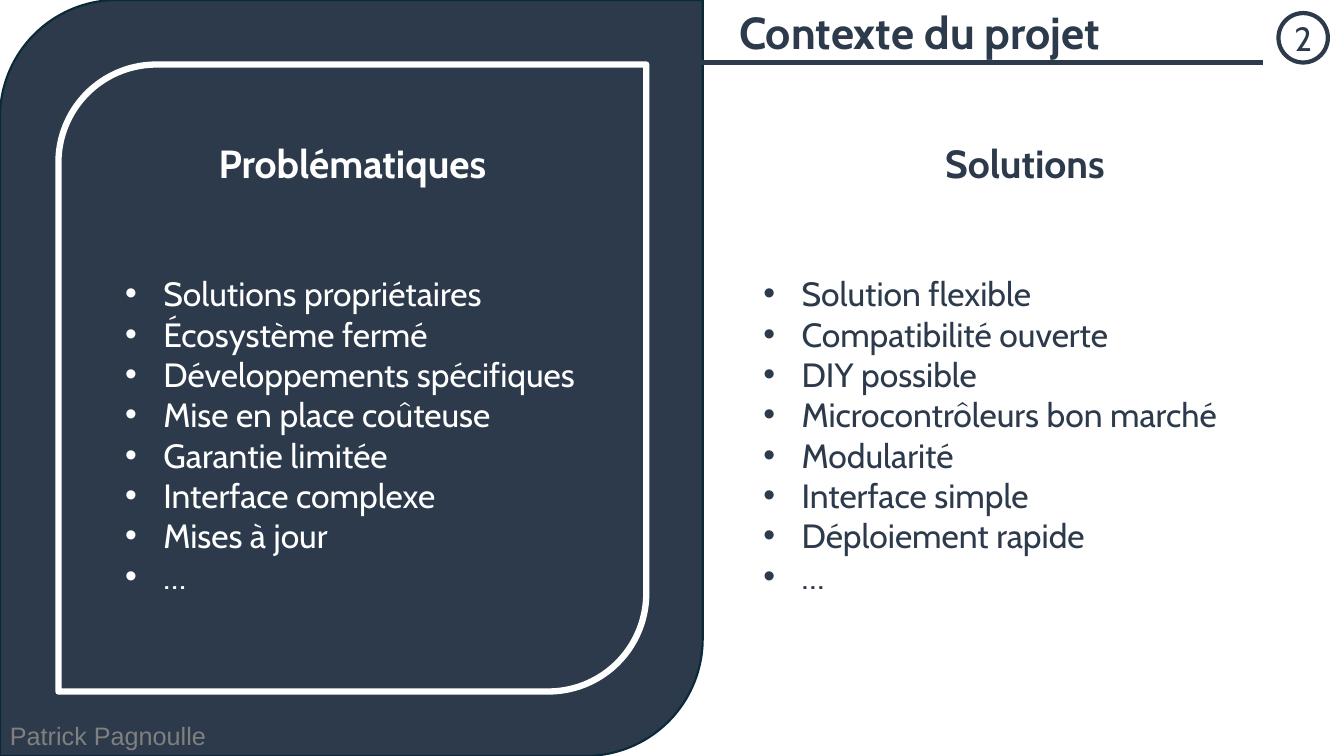
from lxml import etree
from pptx import Presentation
from pptx.dml.color import RGBColor
from pptx.enum.shapes import MSO_CONNECTOR, MSO_SHAPE
from pptx.enum.text import MSO_ANCHOR, MSO_AUTO_SIZE, PP_ALIGN
from pptx.oxml.ns import qn
from pptx.util import Inches, Pt

PANEL, CIRCLE = MSO_SHAPE.ROUND_2_DIAG_RECTANGLE, MSO_SHAPE.OVAL
STRAIGHT = MSO_CONNECTOR.STRAIGHT
TOP, MIDDLE = MSO_ANCHOR.TOP, MSO_ANCHOR.MIDDLE
LEFT, CENTER = PP_ALIGN.LEFT, PP_ALIGN.CENTER
NO_FIT = MSO_AUTO_SIZE.NONE
COMPARISON = 4

NAVY, WHITE, EDGE, GREY = "2C3A4B", "FFFFFF", "092A39", "808080"
FONT = "Cabin"

PROBLEMS = [
    "Solutions propriétaires", "Écosystème fermé", "Développements spécifiques",
    "Mise en place coûteuse", "Garantie limitée", "Interface complexe",
    "Mises à jour", "…",
]
SOLUTIONS = [
    "Solution flexible", "Compatibilité ouverte", "DIY possible",
    "Microcontrôleurs bon marché", "Modularité", "Interface simple",
    "Déploiement rapide", "…",
]


def rgb(color):
    return RGBColor.from_string(color)


def apply(target, values):
    for name, value in values.items():
        setattr(target, name, value)


class Deck:
    def __init__(self, width, height):
        self.prs = Presentation()
        apply(self.prs, {"slide_width": Inches(width), "slide_height": Inches(height)})
        self.s = self.prs.slides.add_slide(self.prs.slide_layouts[COMPARISON])

    def fill_text(self, sp, lines, size, color, bold=False, font=FONT, align=LEFT,
                  anchor=TOP, bullets=False, **frame):
        tf = sp.text_frame
        apply(tf, {"word_wrap": True, "auto_size": NO_FIT, "vertical_anchor": anchor, **frame})
        for i, line in enumerate(lines):
            p = tf.paragraphs[0] if i == 0 else tf.add_paragraph()
            r = p.add_run()
            r.text = line
            if bullets:
                self.bullet(p)
            apply(p, {"alignment": align, "space_before": Pt(0)})
            apply(r.font, {"name": font, "size": Pt(size), "bold": bold})
            r.font.color.rgb = rgb(color)

    def bullet(self, p):
        p.level = 1
        pPr = p._p.get_or_add_pPr()
        pPr.set("marL", str(Inches(0.88)))
        pPr.set("indent", str(Inches(-0.38)))
        etree.SubElement(pPr, qn("a:buFont")).set("typeface", "Arial")
        etree.SubElement(pPr, qn("a:buChar")).set("char", "•")

    def placeholder(self, idx, box, lines, size, color, **style):
        sp = self.s.placeholders[idx]
        apply(sp, dict(zip(("left", "top", "width", "height"), map(Inches, box))))
        self.s.shapes.element.append(sp.element)
        self.fill_text(sp, lines, size, color, **style)

    def text(self, box, line, size, color, **style):
        sp = self.s.shapes.add_textbox(*map(Inches, box))
        self.fill_text(sp, [line], size, color, **style)

    def shape(self, kind, box, fill, line, weight):
        sp = self.s.shapes.add_shape(kind, *map(Inches, box))
        sp.shadow.inherit = False
        sp.fill.solid()
        sp.fill.fore_color.rgb = rgb(fill)
        sp.line.color.rgb = rgb(line)
        sp.line.width = Pt(weight)
        return sp

    def rule(self, ends, color, weight):
        c = self.s.shapes.add_connector(STRAIGHT, *map(Inches, ends))
        c.line.color.rgb = rgb(color)
        c.line.width = Pt(weight)
        etree.SubElement(c.element.spPr, qn("a:effectLst"))


def main():
    deck = Deck(13.33, 7.5)
    deck.shape(PANEL, (0, 0, 6.97, 7.5), NAVY, EDGE, 1.5)
    deck.shape(PANEL, (0.58, 0.64, 5.83, 6.22), NAVY, WHITE, 4.5)
    deck.text((0, 7.1, 5.21, 0.4), "Patrick Pagnoulle", 18, GREY, font="Arial", anchor=MIDDLE)
    deck.placeholder(0, (6.97, 0, 6.34, 0.64), ["Contexte du projet"], 32, NAVY,
                     bold=True, margin_left=Inches(0.36))
    columns = [
        (1, (0.58, 5.83), "Problématiques", (0.64, 5.77), PROBLEMS, WHITE),
        (3, (7, 6.33), "Solutions", (6.97, 6.36), SOLUTIONS, NAVY),
    ]
    for idx, (x, w), heading, (list_x, list_w), items, color in columns:
        deck.placeholder(idx, (x, 1.33, w, 0.57), [heading], 28, color,
                         bold=True, align=CENTER)
        deck.placeholder(idx + 1, (list_x, 2.66, list_w, 3.33), items, 24, color,
                         bullets=True)
    deck.rule((6.51, 0.62, 12.53, 0.62), NAVY, 3)
    badge = deck.shape(CIRCLE, (12.68, 0.13, 0.49, 0.49), WHITE, NAVY, 3)
    deck.fill_text(badge, ["2"], 24, NAVY, align=CENTER, anchor=MIDDLE,
                   margin_left=0, margin_right=0)
    deck.prs.save("out.pptx")


if __name__ == "__main__":
    main()
